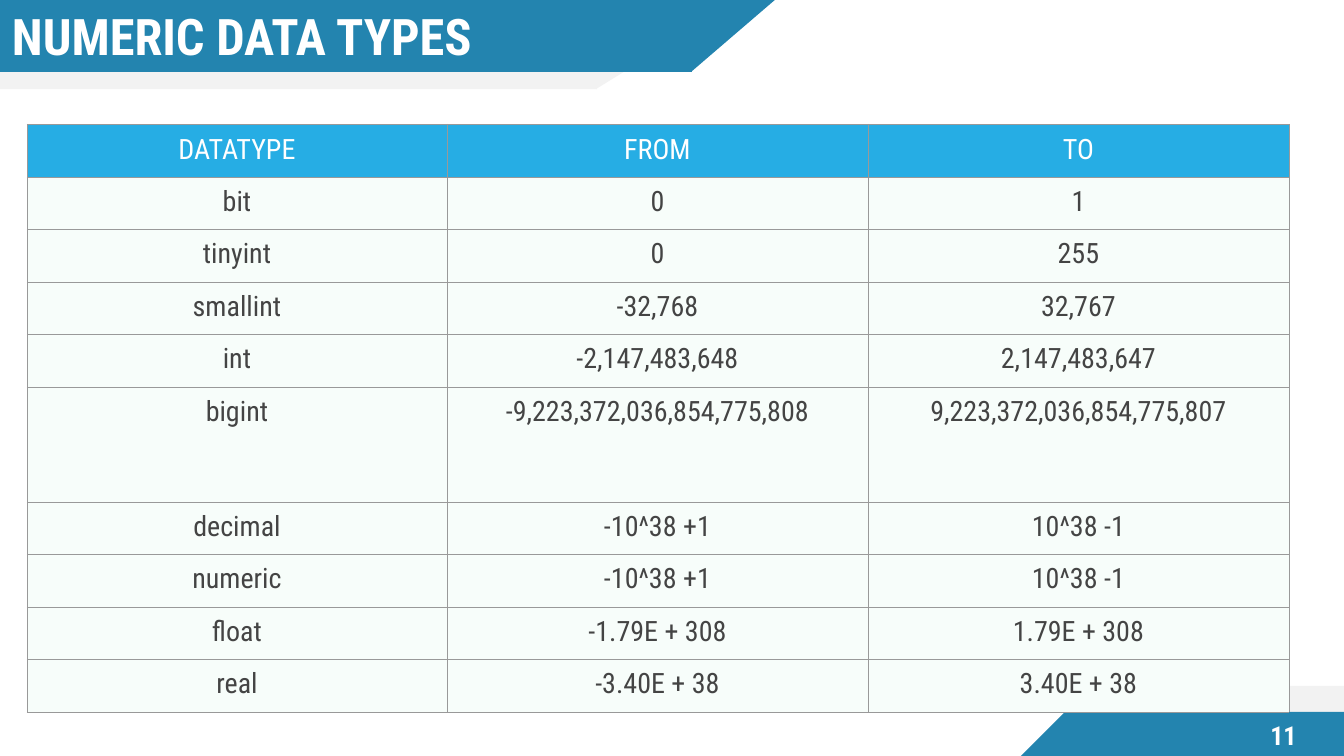
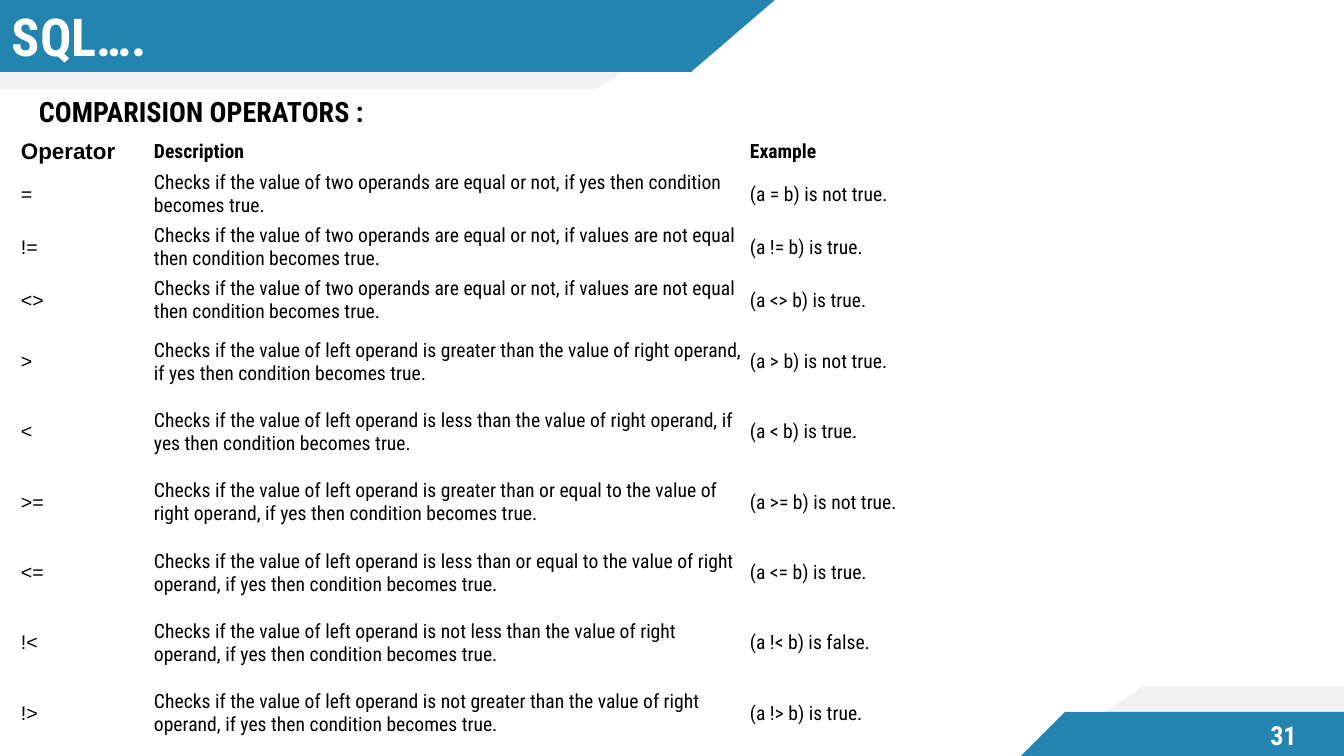
from dataclasses import dataclass
from typing import Optional

import lxml.etree
import pptx
import pptx.dml.color
import pptx.enum.shapes
import pptx.enum.text
import pptx.oxml.ns
import pptx.util

# Scale, colours and fonts
PX = 914400 / 100.8
WIDTH, HEIGHT = 1344, 756
COLORS = {
    "band": "2384AF",
    "shade": "F2F2F2",
    "header": "26ADE4",
    "row": "F7FDFA",
    "grid": "999999",
    "body": "444444",
    "white": "FFFFFF",
    "black": "000000",
}
FONT, SYMBOL_FONT = "Roboto Condensed", "Arial"
NO_STYLE = "{2D5ABB26-0587-4C30-8999-92F81FD0307C}"
SHAPE = pptx.enum.shapes.MSO_SHAPE
ANCHOR = pptx.enum.text.MSO_ANCHOR
ALIGN = pptx.enum.text.PP_ALIGN
qn = pptx.oxml.ns.qn


@dataclass(frozen=True)
class Box:
    x: int
    y: int
    w: int
    h: int

    def emu(self) -> list[int]:
        return [px(v) for v in (self.x, self.y, self.w, self.h)]


@dataclass(frozen=True)
class Band:
    color: str
    block: Box
    slant: Box
    rotation: int = 0


@dataclass(frozen=True)
class Style:
    size: float
    color: str
    bold: bool = False
    font: str = FONT


@dataclass(frozen=True)
class Layout:
    """Margins are left, top, right, bottom."""
    margins: tuple[int, int, int, int]
    anchor: ANCHOR = ANCHOR.TOP
    align: ALIGN = ALIGN.LEFT
    indent: int = 0


@dataclass(frozen=True)
class Cell:
    text: str
    style: Style
    fill: Optional[str] = None


@dataclass(frozen=True)
class Grid:
    x: int
    y: int
    cols: list[int]
    rows: list[int]
    layout: Layout
    border: Optional[str] = None


BANDS = [
    Band("shade", Box(0, -1, 597, 90), Box(596, -1, 146, 90), 180),
    Band("band", Box(0, -1, 692, 73), Box(691, -1, 85, 73), 180),
    Band("shade", Box(1143, 686, 201, 70), Box(1044, 686, 99, 70)),
    Band("band", Box(1065, 712, 279, 44), Box(1021, 712, 44, 44)),
]
TITLE_LAYOUT = Layout((12, 0, 0, 0), ANCHOR.MIDDLE)
NUMBER_LAYOUT = Layout((10, 10, 10, 10), ANCHOR.MIDDLE, ALIGN.CENTER)
NUMBER_STYLE = Style(18.7, "white", True)


def px(value: int) -> int:
    return round(value * PX)


def rgb(name: str) -> pptx.dml.color.RGBColor:
    return pptx.dml.color.RGBColor.from_string(COLORS[name])


def add_run(p, text: str, style: Style) -> None:
    r = p.add_run()
    r.text = text
    r.font.name = style.font
    r.font.size = pptx.util.Pt(style.size)
    r.font.bold = style.bold
    r.font.color.rgb = rgb(style.color)


def set_margins(target, margins: tuple[int, int, int, int]) -> None:
    for side, value in zip(("left", "top", "right", "bottom"), margins):
        setattr(target, f"margin_{side}", px(value))


def add_text(s, box: Box, text: str, style: Style, layout: Layout) -> None:
    tf = s.shapes.add_textbox(*box.emu()).text_frame
    tf.word_wrap = True
    tf.vertical_anchor = layout.anchor
    set_margins(tf, layout.margins)
    p = tf.paragraphs[0]
    p.alignment = layout.align
    if layout.indent:
        p._p.get_or_add_pPr().set("marL", str(px(layout.indent)))
    add_run(p, text, style)


def add_band(s, band: Band) -> None:
    parts = ((SHAPE.RECTANGLE, band.block), (SHAPE.RIGHT_TRIANGLE, band.slant))
    for kind, box in parts:
        sp = s.shapes.add_shape(kind, *box.emu())
        sp.shadow.inherit = False
        sp.fill.solid()
        sp.fill.fore_color.rgb = rgb(band.color)
        sp.line.fill.background()
        sp.rotation = band.rotation
        sp.element.spPr.find(qn("a:xfrm")).set("flipH", "1")


def set_borders(cell, color: str) -> None:
    tcPr = cell._tc.get_or_add_tcPr()
    for side in ("lnL", "lnR", "lnT", "lnB"):
        ln = lxml.etree.SubElement(tcPr, qn(f"a:{side}"), w=str(pptx.util.Pt(0.38)))
        fill = lxml.etree.SubElement(ln, qn("a:solidFill"))
        lxml.etree.SubElement(fill, qn("a:srgbClr"), val=COLORS[color])


def add_grid(s, grid: Grid, rows: list[list[Cell]]) -> None:
    box = Box(grid.x, grid.y, sum(grid.cols), sum(grid.rows))
    frame = s.shapes.add_table(len(grid.rows), len(grid.cols), *box.emu())
    table = frame.table
    table.first_row = table.horz_banding = False
    frame.element.find(f".//{qn('a:tableStyleId')}").text = NO_STYLE
    for column, width in zip(table.columns, grid.cols):
        column.width = px(width)
    for row, height, cells in zip(table.rows, grid.rows, rows):
        row.height = px(height)
        for target, cell in zip(row.cells, cells):
            set_margins(target, grid.layout.margins)
            target.vertical_anchor = grid.layout.anchor
            if grid.border:
                set_borders(target, grid.border)
            if cell.fill:
                target.fill.solid()
                target.fill.fore_color.rgb = rgb(cell.fill)
            else:
                target.fill.background()
            p = target.text_frame.paragraphs[0]
            p.alignment = grid.layout.align
            add_run(p, cell.text, cell.style)


def add_slide(prs, title: str, size: float, box: Box, number: int):
    s = prs.slides.add_slide(prs.slide_layouts[6])
    for band in BANDS:
        add_band(s, band)
    add_text(s, box, title, Style(size, "white", True), TITLE_LAYOUT)
    add_text(s, Box(1239, 713, 89, 45), str(number), NUMBER_STYLE, NUMBER_LAYOUT)
    return s


prs = pptx.Presentation()
prs.slide_width, prs.slide_height = px(WIDTH), px(HEIGHT)

# Numeric data types
RANGES = [
    ("bit", "0", "1"),
    ("tinyint", "0", "255"),
    ("smallint", "-32,768", "32,767"),
    ("int", "-2,147,483,648", "2,147,483,647"),
    ("bigint", "-9,223,372,036,854,775,808", "9,223,372,036,854,775,807"),
    ("decimal", "-10^38 +1", "10^38 -1"),
    ("numeric", "-10^38 +1", "10^38 -1"),
    ("float", "-1.79E + 308", "1.79E + 308"),
    ("real", "-3.40E + 38", "3.40E + 38"),
]
types_grid = Grid(
    27, 124, [420, 421, 421], [53, 52, 53, 52, 53, 115, 52, 53, 52, 53],
    Layout((5, 9, 5, 9), align=ALIGN.CENTER), "grid",
)
type_rows = [[Cell(t, Style(20, "white"), "header") for t in ("DATATYPE", "FROM", "TO")]]
type_rows += [[Cell(t, Style(20, "body"), "row") for t in row] for row in RANGES]
s = add_slide(prs, "NUMERIC DATA TYPES", 36, Box(0, 5, 742, 61), 11)
add_grid(s, types_grid, type_rows)

# Comparison operators
EQUALITY = "two operands are equal or not, if"
OPERATORS = [
    ("=", f"{EQUALITY} yes", "not true"),
    ("!=", f"{EQUALITY} values are not equal", "true"),
    ("<>", f"{EQUALITY} values are not equal", "true"),
]
OPERATORS += [
    (op, f"left operand is {relation} the value of right operand, if yes", result)
    for op, relation, result in (
        (">", "greater than", "not true"),
        ("<", "less than", "true"),
        (">=", "greater than or equal to", "not true"),
        ("<=", "less than or equal to", "true"),
        ("!<", "not less than", "false"),
        ("!>", "not greater than", "true"),
    )
]
operators_grid = Grid(
    18, 135, [133, 596, 597], [32, 53, 53, 53, 70, 70, 71, 70, 70, 71],
    Layout((3, 3, 3, 3), ANCHOR.MIDDLE),
)
heading, plain = Style(14, "black", True), Style(14, "black")
symbol = Style(14, "black", font=SYMBOL_FONT)
operator_rows = [[
    Cell("Operator", Style(16, "black", True, SYMBOL_FONT)),
    Cell("Description", heading),
    Cell("Example", heading),
]]
operator_rows += [
    [
        Cell(op, symbol),
        Cell(f"Checks if the value of {check} then condition becomes true.", plain),
        Cell(f"(a {op} b) is {result}.", plain),
    ]
    for op, check, result in OPERATORS
]
s = add_slide(prs, "SQL….", 37.3, Box(0, 4, 742, 64), 31)
add_text(s, Box(18, 89, 1282, 667), "COMPARISION OPERATORS :",
         Style(20, "black", True), Layout((10, 5, 10, 5), indent=11))
add_grid(s, operators_grid, operator_rows)

prs.save("out.pptx")
